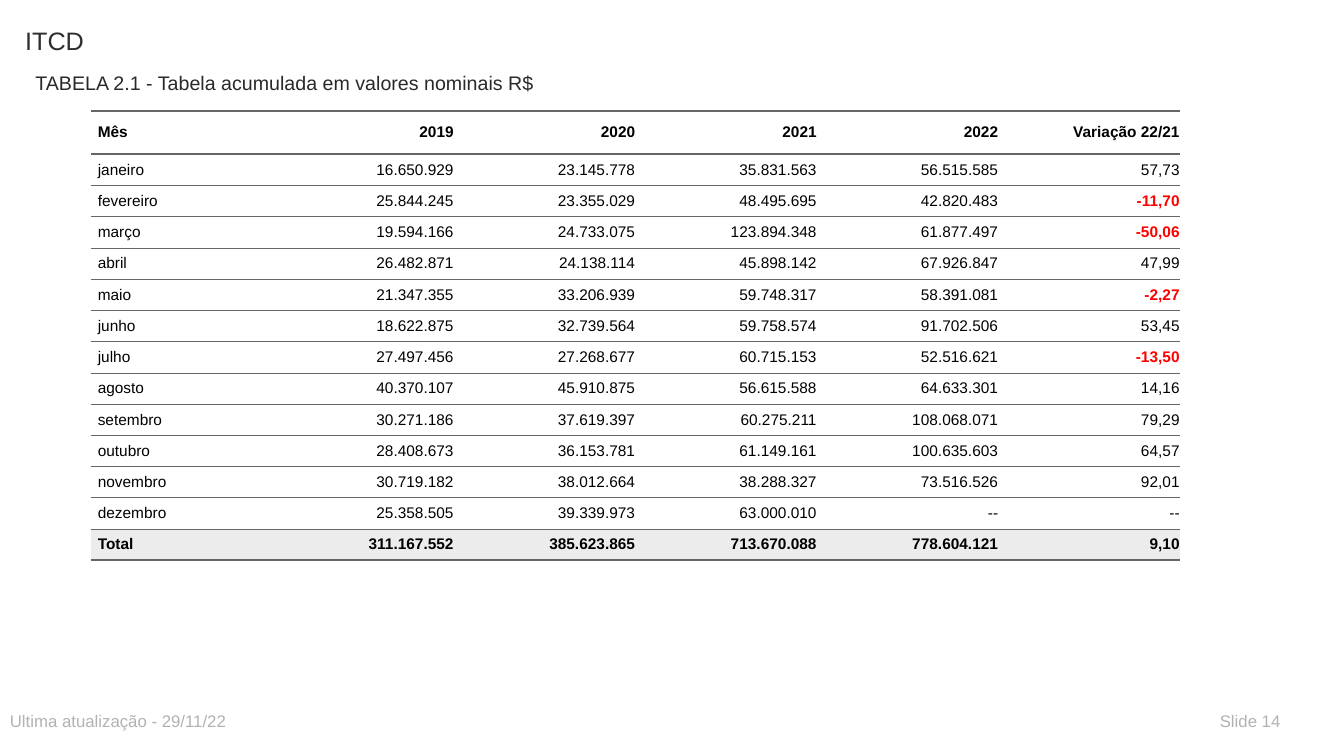
"""Build the ITCD slide with the accumulated monthly revenue table."""
from lxml import etree
from pptx import Presentation
from pptx import util as u
from pptx.dml.color import RGBColor
from pptx.enum import text
from pptx.oxml import ns

COLORS = {
    "title": "2D2E2D", "subtitle": "292929", "footer": "B2B2B2", "text": "000000",
    "negative": "FF0000", "rule": "666666", "cell": "FFFFFF", "total": "ECECEC",
}
NO_STYLE = "{2D5ABB26-0587-4C30-8999-92F81FD0307C}"
HEADER = ["Mês", "2019", "2020", "2021", "2022", "Variação 22/21"]
MONTHS = [
    ["janeiro", "16.650.929", "23.145.778", "35.831.563", "56.515.585", "57,73"],
    ["fevereiro", "25.844.245", "23.355.029", "48.495.695", "42.820.483", "-11,70"],
    ["março", "19.594.166", "24.733.075", "123.894.348", "61.877.497", "-50,06"],
    ["abril", "26.482.871", "24.138.114", "45.898.142", "67.926.847", "47,99"],
    ["maio", "21.347.355", "33.206.939", "59.748.317", "58.391.081", "-2,27"],
    ["junho", "18.622.875", "32.739.564", "59.758.574", "91.702.506", "53,45"],
    ["julho", "27.497.456", "27.268.677", "60.715.153", "52.516.621", "-13,50"],
    ["agosto", "40.370.107", "45.910.875", "56.615.588", "64.633.301", "14,16"],
    ["setembro", "30.271.186", "37.619.397", "60.275.211", "108.068.071", "79,29"],
    ["outubro", "28.408.673", "36.153.781", "61.149.161", "100.635.603", "64,57"],
    ["novembro", "30.719.182", "38.012.664", "38.288.327", "73.516.526", "92,01"],
    ["dezembro", "25.358.505", "39.339.973", "63.000.010", "--", "--"],
]
TOTAL = ["Total", "311.167.552", "385.623.865", "713.670.088", "778.604.121", "9,10"]


def add_text(paragraph, content, size, color, bold=False):
    run = paragraph.add_run()
    run.text = content
    run.font.name = "Arial"
    run.font.size = u.Pt(size)
    run.font.bold = bold
    run.font.color.rgb = RGBColor.from_string(COLORS[color])


def add_border(cell, side, points):
    properties = cell._tc.get_or_add_tcPr()
    line = etree.SubElement(properties, ns.qn(f"a:{side}"), w=str(u.Pt(points)))
    fill = etree.SubElement(line, ns.qn("a:solidFill"))
    etree.SubElement(fill, ns.qn("a:srgbClr"), val=COLORS["rule"])


presentation = Presentation()
presentation.slide_width = u.Inches(13.33)
presentation.slide_height = u.Inches(7.5)
slide = presentation.slides.add_slide(presentation.slide_layouts[1])

title, subtitle = slide.placeholders
updated = slide.shapes.add_textbox(0, 0, 0, 0)
slide_number = slide.shapes.add_textbox(0, 0, 0, 0)
labels = [
    (title, "ITCD", 18, "title", (0.15, 0.2, 8, 0.59)),
    (subtitle, "TABELA 2.1 - Tabela acumulada em valores nominais R$", 14, "subtitle",
     (0.25, 0.65, 6.5, 0.3)),
    (updated, "Ultima atualização - 29/11/22", 12, "footer", (0, 7, 6.5, 0.3)),
    (slide_number, "Slide 14", 12, "footer", (12, 7, 0.9, 0.3)),
]
for shape, content, size, color, box in labels:
    shape.left, shape.top, shape.width, shape.height = map(u.Inches, box)
    frame = shape.text_frame
    frame.word_wrap = True
    frame.auto_size = text.MSO_AUTO_SIZE.NONE
    frame.vertical_anchor = text.MSO_ANCHOR.TOP
    paragraph = frame.paragraphs[0]
    paragraph.alignment = text.PP_ALIGN.LEFT
    paragraph.space_before = u.Pt(0)
    add_text(paragraph, content, size, color)

bullet_properties = subtitle.text_frame.paragraphs[0]._p.get_or_add_pPr()
bullet_properties.set("marL", "0")
bullet_properties.set("indent", "0")
etree.SubElement(bullet_properties, ns.qn("a:buNone"))

rows = [HEADER, *MONTHS, TOTAL]
last = len(rows) - 1
table = slide.shapes.add_table(
    len(rows), len(HEADER), u.Inches(0.9), u.Inches(1.1),
    u.Inches(1.8 * len(HEADER)), u.Inches(0.43 + 0.31 * last)).table
table.horz_banding = False
table.first_row = False
table._tbl.tblPr.find(ns.qn("a:tableStyleId")).text = NO_STYLE

for row_index, values in enumerate(rows):
    table.rows[row_index].height = u.Inches(0.31 if row_index else 0.43)
    outer = row_index in (0, last)
    for column_index, value in enumerate(values):
        cell = table.cell(row_index, column_index)
        cell.margin_left = cell.margin_top = cell.margin_bottom = u.Inches(0.07)
        cell.margin_right = 0
        cell.vertical_anchor = text.MSO_ANCHOR.MIDDLE
        if row_index == 0:
            add_border(cell, "lnT", 2)
        add_border(cell, "lnB", 2 if outer else 0.5)
        cell.fill.solid()
        cell.fill.fore_color.rgb = RGBColor.from_string(
            COLORS["total" if row_index == last else "cell"])
        paragraph = cell.text_frame.paragraphs[0]
        paragraph.alignment = text.PP_ALIGN.RIGHT if column_index else text.PP_ALIGN.LEFT
        negative = value.startswith("-") and value != "--"
        add_text(paragraph, value, 11, "negative" if negative else "text", outer or negative)

presentation.save("out.pptx")
